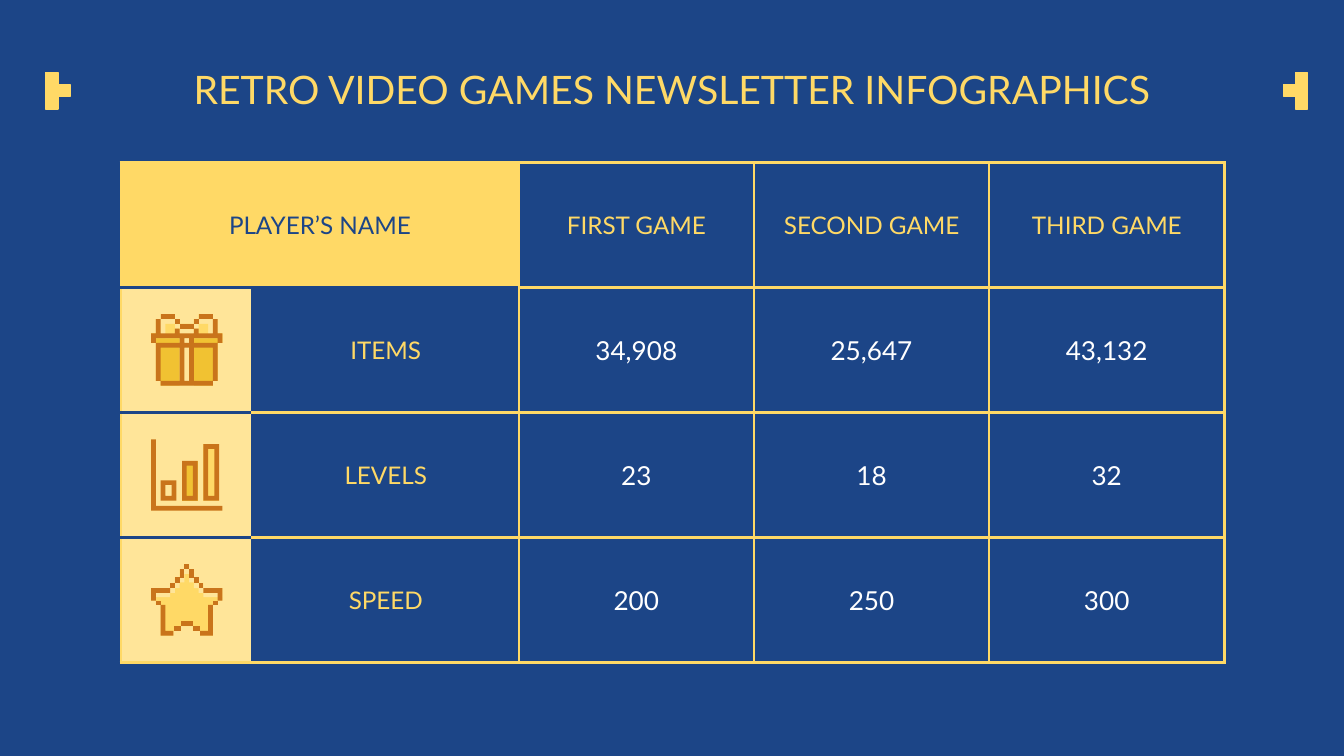
from lxml import etree
from pptx import Presentation
from pptx.dml.color import RGBColor
from pptx.enum.text import MSO_ANCHOR as Anchor, PP_ALIGN as Align
from pptx.oxml.ns import qn
from pptx.util import Inches, Pt

NAVY, YELLOW, CREAM, GOLD, BROWN, WHITE = (
    "1C4587", "FFD966", "FFE599", "F1C232", "C9741B", "FFFFFF")
GRID = 15
ICON_SIZE = 0.53
COLUMNS = [0.98, 1.98, 1.75, 1.75, 1.75]
ROW_HEIGHT = 0.93
HEADERS = ["FIRST GAME", "SECOND GAME", "THIRD GAME"]
SCORES = [
    ("ITEMS", ["34,908", "25,647", "43,132"]),
    ("LEVELS", ["23", "18", "32"]),
    ("SPEED", ["200", "250", "300"]),
]


def color(value):
    """Turn a hex string into a colour."""
    return RGBColor.from_string(value)


def write(frame, text, size, value):
    """Write one centred line into a text frame."""
    para = frame.paragraphs[0]
    para.alignment = Align.CENTER
    span = para.add_run()
    span.text = text
    for name, setting in {"name": "Lato", "size": Pt(size), "bold": False}.items():
        setattr(span.font, name, setting)
    span.font.color.rgb = color(value)


def mirror(corners):
    """Flip corners from left to right on the icon grid."""
    return [(GRID - x, y) for x, y in corners]


def both(*outlines):
    """Return each outline followed by its mirrored twin."""
    return [side for outline in outlines for side in (outline, mirror(outline))]


def stepped(corners):
    """Join corners by steps that go down or up first, then sideways."""
    points = []
    for (x, y), (_, next_y) in zip(corners, corners[1:] + corners[:1]):
        points += [(x, y), (x, next_y)]
    return points


def add_pixels(page, box, contours, fill):
    """Draw stepped contours, given on the icon grid, inside a box."""
    left, top, size = box
    builder = None
    for corners in contours:
        points = [(Inches(left + x * size / GRID), Inches(top + y * size / GRID))
                  for x, y in stepped(corners)]
        if builder is None:
            builder = page.shapes.build_freeform(*points[0], scale=1.0)
        else:
            builder.move_to(*points[0])
        builder.add_line_segments(points[1:], close=True)
    shape = builder.convert_to_shape()
    shape.shadow.inherit = False
    shape.fill.solid()
    shape.fill.fore_color.rgb = color(fill)
    shape.line.fill.background()
    return shape


def add_gift(page, box):
    """Draw the gift box icon."""
    bow_top = [(13, 1), (10, 0), (9, 1), (6, 2), (5, 1)]
    body = [(2, 0), (1, 1), (0, 4), (1, 6), (2, 14), (13, 15),
            (14, 14), (15, 6), (14, 4)] + bow_top
    ribbon = [(2, 0), (1, 1), (6, 5), (9, 15), (14, 5)] + bow_top
    add_pixels(page, box, [body], GOLD)
    add_pixels(page, box, [ribbon], CREAM)
    for loop in both([(3, 2), (6, 5), (5, 3)]):
        add_pixels(page, box, [loop], YELLOW)
    for edge in both([(5, 1), (6, 2)], [(2, 0), (5, 1)]) + [[(6, 2), (9, 3)]]:
        add_pixels(page, box, [edge], BROWN)
    outline = [(1, 1), (0, 4), (1, 6), (2, 14), (13, 15), (14, 14), (15, 6),
               (14, 4), (13, 1), (10, 4), (9, 3), (6, 4), (5, 3), (2, 4)]
    holes = both([(1, 5), (6, 6)], [(2, 7), (6, 14)])
    holes += [[(7, 5), (8, 6)], [(7, 7), (8, 14)]]
    add_pixels(page, box, [outline] + holes, BROWN)


def add_bars(page, box):
    """Draw the bar chart icon."""
    width, base = 3.3, 12.9
    for left, top, fill in [(2, 8.6, CREAM), (6.5, 4.5, GOLD), (11, 1, YELLOW)]:
        bar = [(left, top), (left + width, base)]
        inside = [(left + 1, top + 1), (left + width - 1, base - 1)]
        add_pixels(page, box, [bar], fill)
        add_pixels(page, box, [bar, inside], BROWN)
    add_pixels(page, box, [[(0, 0), (15, 15), (1, 14)]], BROWN)


def add_star(page, box):
    """Draw the star icon."""
    left_tip = [(7, 0), (6, 1), (5, 2.75), (4, 4), (0, 5)]
    right_tip = [(11, 5), (10, 4), (9, 2.75), (8, 1)]
    legs = [(1, 7.6), (2, 8.5), (4.7, 15), (6.2, 14), (8.8, 13),
            (10.3, 14), (13, 15), (14, 8.5), (15, 7.6)]
    shine = [(4, 6.9), (5, 6), (6, 5), (7, 3.8), (8, 2),
             (9, 3.8), (10, 5), (11, 6), (15, 6.9)]
    add_pixels(page, box, [left_tip + legs + right_tip], YELLOW)
    add_pixels(page, box, [left_tip + shine + right_tip], CREAM)
    edges = both([(4, 4), (5, 5)], [(0, 5), (1, 7.6), (4, 6)],
                 [(1, 7.6), (2, 8.5)], [(6, 1), (7, 2.75)],
                 [(5, 2.75), (6, 4)], [(4.7, 13), (6.2, 14)],
                 [(2, 8.5), (4.7, 15), (3, 14)])
    for edge in edges + [[(7, 0), (8, 1)], [(6.2, 12), (8.8, 13)]]:
        add_pixels(page, box, [edge], BROWN)


def add_pointer(page, left, top, step):
    """Draw three stacked squares and one beside them, a step away."""
    size = 0.09
    for column, row in [(0, 0), (0, 1), (0, 2), (1, 1)]:
        box = (left + column * step * size, top + row * size, size)
        square = add_pixels(page, box, [[(0, 0), (GRID, GRID)]], YELLOW)
        square.line.color.rgb = color(YELLOW)
        square.line.width = Pt(0.75)


def add_title(page, left, top, width, height):
    """Place the slide title."""
    box = page.shapes.add_textbox(*map(Inches, (left, top, width, height)))
    frame = box.text_frame
    settings = {"word_wrap": True, "vertical_anchor": Anchor.BOTTOM}
    settings |= {f"margin_{side}": Inches(0.1)
                 for side in ("left", "top", "right", "bottom")}
    for name, setting in settings.items():
        setattr(frame, name, setting)
    write(frame, "RETRO VIDEO GAMES NEWSLETTER INFOGRAPHICS", 21, YELLOW)


def style_cell(cell, fill=None, **borders):
    """Set borders, margins and fill of a cell; borders are yellow by default."""
    properties = cell._tc.get_or_add_tcPr()
    for side in "LRTB":
        line = etree.SubElement(properties, qn(f"a:ln{side}"), w=str(Pt(1.5)))
        solid = etree.SubElement(line, qn("a:solidFill"))
        etree.SubElement(solid, qn("a:srgbClr"), val=borders.get(side, YELLOW))
    for side in ("left", "top", "right", "bottom"):
        setattr(cell, f"margin_{side}", Inches(0.1))
    cell.vertical_anchor = Anchor.MIDDLE
    if fill:
        cell.fill.solid()
        cell.fill.fore_color.rgb = color(fill)
    else:
        cell.fill.background()


def add_scores(page, left, top):
    """Place the score table with an icon at the start of each row."""
    rows = len(SCORES) + 1
    table = page.shapes.add_table(
        rows, len(COLUMNS), Inches(left), Inches(top),
        Inches(sum(COLUMNS)), Inches(rows * ROW_HEIGHT)).table
    table.first_row = table.horz_banding = False
    for column, width in zip(table.columns, COLUMNS):
        column.width = Inches(width)
    for row in table.rows:
        row.height = Inches(ROW_HEIGHT)
    table.cell(0, 0).merge(table.cell(0, 1))
    for column in (0, 1):
        style_cell(table.cell(0, column), YELLOW, B=NAVY)
    write(table.cell(0, 0).text_frame, "PLAYER’S NAME", 13, NAVY)
    for column, header in enumerate(HEADERS, 2):
        style_cell(table.cell(0, column))
        write(table.cell(0, column).text_frame, header, 13, YELLOW)
    for row, (label, values) in enumerate(SCORES, 1):
        bottom = YELLOW if row == len(SCORES) else NAVY
        style_cell(table.cell(row, 0), CREAM, T=NAVY, R=NAVY, B=bottom)
        style_cell(table.cell(row, 1), L=NAVY, T=NAVY if row == 1 else YELLOW)
        write(table.cell(row, 1).text_frame, label, 13, YELLOW)
        for column, value in enumerate(values, 2):
            style_cell(table.cell(row, column))
            write(table.cell(row, column).text_frame, value, 14, WHITE)
    for row, add_icon in enumerate([add_gift, add_bars, add_star], 1):
        add_icon(page, (left + (COLUMNS[0] - ICON_SIZE) / 2,
                        top + row * ROW_HEIGHT + (ROW_HEIGHT - ICON_SIZE) / 2,
                        ICON_SIZE))


def main():
    """Build the slide and save it."""
    deck = Presentation()
    deck.slide_width, deck.slide_height = Inches(10), Inches(10 * 9 / 16)
    page = deck.slides.add_slide(deck.slide_layouts[6])
    page.background.fill.solid()
    page.background.fill.fore_color.rgb = color(NAVY)
    add_title(page, 0.34, 0.31, 9.32, 0.63)
    add_pointer(page, 0.34, 0.54, 1)
    add_pointer(page, 9.64, 0.54, -1)
    add_scores(page, 0.9, 1.21)
    deck.save("out.pptx")


if __name__ == "__main__":
    main()
